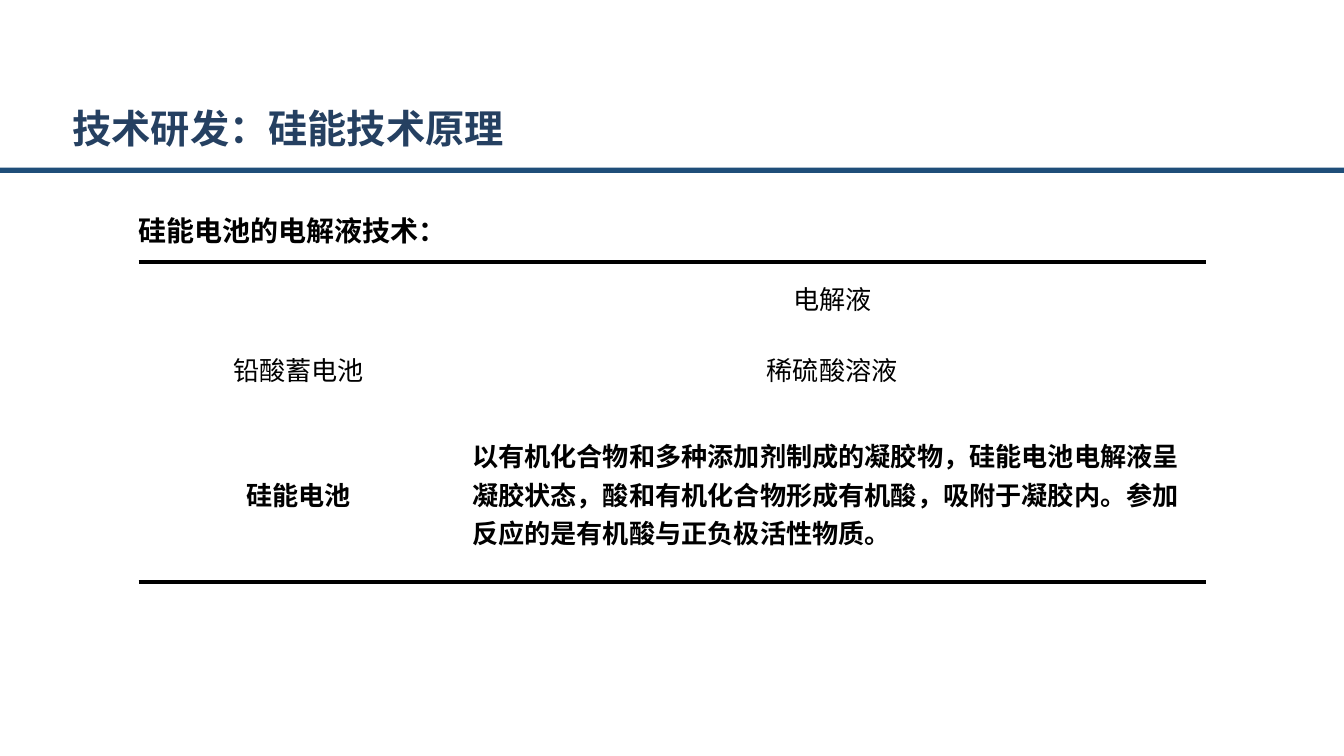
from lxml import etree
from pptx import Presentation
from pptx import util as u
from pptx.dml.color import RGBColor
from pptx.enum import shapes, text
from pptx.oxml import ns

CJK = "Noto Sans CJK SC"
ROWS = [
    ("", "电解液"),
    ("铅酸蓄电池", "稀硫酸溶液"),
    ("硅能电池", "以有机化合物和多种添加剂制成的凝胶物，硅能电池电解液呈凝胶状态，"
     "酸和有机化合物形成有机酸，吸附于凝胶内。参加反应的是有机酸与正负极活性物质。"),
]


def rgb(value):
    return RGBColor.from_string(value)


def cm(box):
    return [u.Cm(v) for v in box]


def add_run(p, content, size, color, bold, font=CJK):
    r = p.add_run()
    r.text = content
    r.font.size = u.Pt(size)
    r.font.bold = bold
    r.font.name = font
    r.font.color.rgb = rgb(color)
    ea = etree.SubElement(r.font._element, ns.qn("a:ea"))
    ea.set("typeface", CJK)


def set_insets(tf, x, y):
    tf.margin_left = tf.margin_right = u.Cm(x)
    tf.margin_top = tf.margin_bottom = u.Cm(y)


def set_borders(cell, drawn):
    tc_pr = cell._tc.get_or_add_tcPr()
    for i, side in enumerate(("lnL", "lnR", "lnT", "lnB")):
        ln = etree.Element(ns.qn("a:" + side))
        if side in drawn:
            ln.set("w", str(u.Pt(2)))
            fill = etree.SubElement(ln, ns.qn("a:solidFill"))
            etree.SubElement(fill, ns.qn("a:srgbClr")).set("val", "000000")
        else:
            etree.SubElement(ln, ns.qn("a:noFill"))
        tc_pr.insert(i, ln)


def add_title(s, box):
    sp = s.shapes.title
    sp.left, sp.top, sp.width, sp.height = cm(box)
    tf = sp.text_frame
    tf.word_wrap = False
    tf.auto_size = text.MSO_AUTO_SIZE.NONE
    tf.vertical_anchor = text.MSO_ANCHOR.MIDDLE
    set_insets(tf, 0.18, 0.1)
    p = tf.paragraphs[0]
    p.alignment = text.PP_ALIGN.LEFT
    add_run(p, "技术研发：硅能技术原理", 21, "254061", True)


def add_rule(s, box):
    sp = s.shapes.add_shape(shapes.MSO_SHAPE.RECTANGLE, *cm(box))
    sp.shadow.inherit = False
    sp.fill.solid()
    sp.fill.fore_color.rgb = rgb("1F4E79")
    sp.line.fill.background()


def add_subheading(s, box):
    tf = s.shapes.add_textbox(*cm(box)).text_frame
    tf.word_wrap = True
    set_insets(tf, 0, 0.1)
    add_run(tf.paragraphs[0], "硅能电池的电解液技术：", 15, "000000", True)


def add_comparison(s, box):
    last = len(ROWS) - 1
    table = s.shapes.add_table(len(ROWS), 2, *cm(box)).table
    table.first_row = table.horz_banding = False
    for column, share in zip(table.columns, (0.3, 0.7)):
        column.width = u.Cm(box[2] * share)
    for row, height in zip(table.rows, (1.35, 1.36, box[3] - 2.71)):
        row.height = u.Cm(height)
    for i, row in enumerate(ROWS):
        for j, content in enumerate(row):
            cell = table.cell(i, j)
            cell.fill.solid()
            cell.fill.fore_color.rgb = rgb("FFFFFF")
            set_borders(cell, {0: ["lnT"], last: ["lnB"]}.get(i, []))
            cell.vertical_anchor = text.MSO_ANCHOR.MIDDLE
            set_insets(cell, 0.25, 0.1)
            p = cell.text_frame.paragraphs[0]
            is_description = i == last and j == 1
            p.alignment = text.PP_ALIGN.LEFT if is_description else text.PP_ALIGN.CENTER
            if content:
                add_run(p, content, 14, "000000", i == last, "Arial")


def main():
    prs = Presentation()
    prs.slide_width, prs.slide_height = u.Cm(25.4), u.Cm(14.29)
    s = prs.slides.add_slide(prs.slide_layouts[5])
    add_title(s, (1.19, 1.88, 8.76, 1.09))
    add_rule(s, (0, 3.17, 25.4, 0.1))
    add_subheading(s, (2.62, 3.94, 20.17, 0.95))
    add_comparison(s, (2.62, 4.95, 20.17, 6.05))
    prs.save("out.pptx")


if __name__ == "__main__":
    main()
